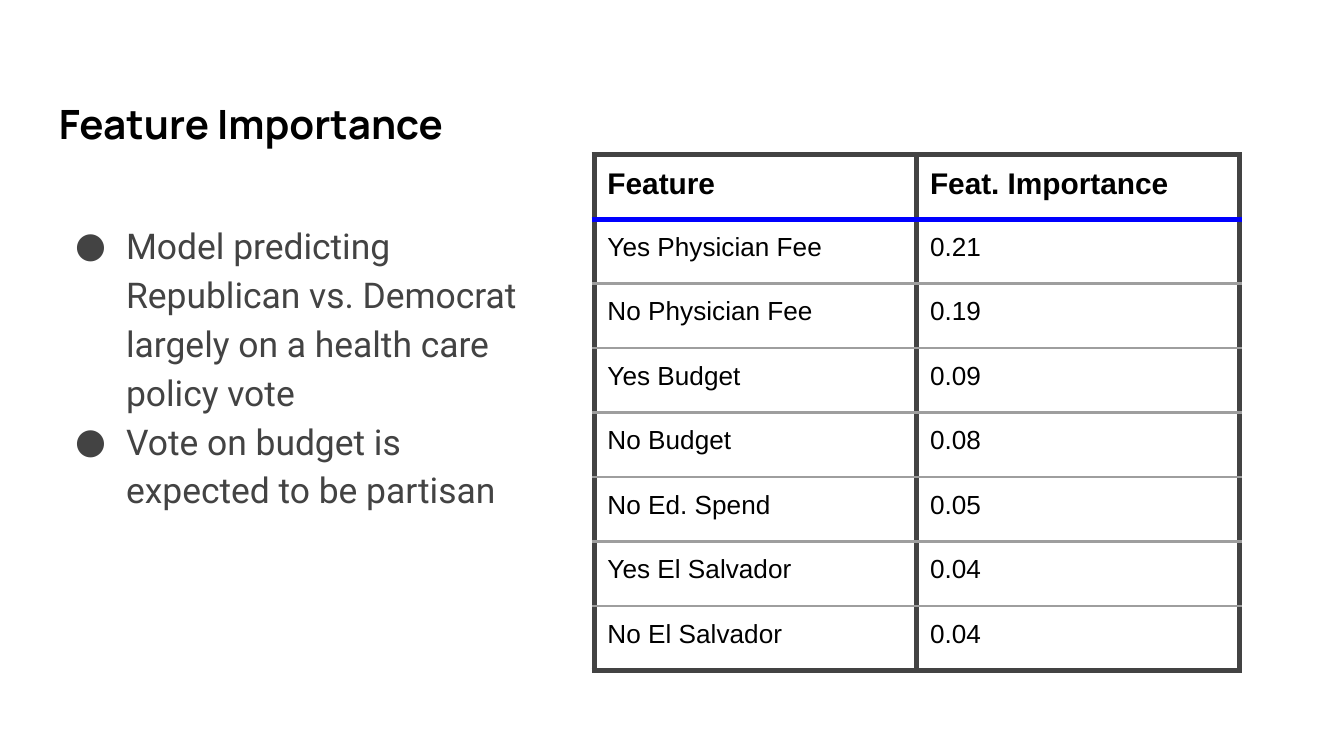
"""Build the Feature Importance slide with two bullets and a ranked table."""
from lxml.etree import SubElement
from pptx import Presentation
from pptx.dml.color import RGBColor
from pptx.enum.shapes import MSO_SHAPE as Shape
from pptx.enum.text import MSO_ANCHOR as Anchor, PP_ALIGN as Align
from pptx.oxml.ns import qn
from pptx.util import Inches, Pt

COLORS = {"black": "000000", "text": "434343", "rule": "9E9E9E", "accent": "0000FF", "white": "FFFFFF"}
BULLETS = [
    "Model predicting Republican vs. Democrat largely on a health care policy vote",
    "Vote on budget is expected to be partisan",
]
ROWS = [
    ("Feature", "Feat. Importance"),
    ("Yes Physician Fee", "0.21"),
    ("No Physician Fee", "0.19"),
    ("Yes Budget", "0.09"),
    ("No Budget", "0.08"),
    ("No Ed. Spend", "0.05"),
    ("Yes El Salvador", "0.04"),
    ("No El Salvador", "0.04"),
]
SLIDE_WIDTH = Inches(10)
SLIDE_HEIGHT = SLIDE_WIDTH * 9 // 16
MARGIN, INSET = Inches(0.34), Inches(0.1)
COLUMN_WIDTH, ROW_HEIGHT = Inches(2.4), Inches(0.48)


def style_font(paragraph, name, size, color, bold=False):
    font = paragraph.font
    font.name, font.size, font.bold = name, Pt(size), bold
    font.color.rgb = RGBColor.from_string(COLORS[color])


def add_border(cell, side, color, width):
    line = SubElement(cell._tc.get_or_add_tcPr(), qn(f"a:ln{side}"), w=str(Pt(width)))
    fill = SubElement(line, qn("a:solidFill"))
    SubElement(fill, qn("a:srgbClr"), val=COLORS[color])


presentation = Presentation()
presentation.slide_width, presentation.slide_height = SLIDE_WIDTH, SLIDE_HEIGHT
slide = presentation.slides.add_slide(presentation.slide_layouts[6])

title = slide.shapes.add_textbox(MARGIN, Inches(0.37), Inches(3.07), Inches(0.83))
body = slide.shapes.add_shape(Shape.RECTANGLE, MARGIN, Inches(1.52), Inches(3.65), Inches(3.48))
for shape, anchor in ((title, Anchor.BOTTOM), (body, Anchor.TOP)):
    frame = shape.text_frame
    frame.word_wrap, frame.vertical_anchor = True, anchor
    frame.margin_left = frame.margin_right = frame.margin_top = frame.margin_bottom = INSET

title.text_frame.text = "Feature Importance"
style_font(title.text_frame.paragraphs[0], "Manrope", 21.6, "black", True)

body.shadow.inherit = False
body.fill.background()
body.line.color.rgb = RGBColor.from_string(COLORS["white"])
body.line.width = Pt(0.75)
body.text_frame.text = "\n".join(BULLETS)
for paragraph in body.text_frame.paragraphs:
    paragraph.alignment, paragraph.line_spacing = Align.LEFT, 1.15
    style_font(paragraph, "Roboto", 19, "text")
    properties = paragraph._p.get_or_add_pPr()
    properties.set("marL", str(Inches(0.5)))
    properties.set("indent", str(Inches(-0.38)))
    bullet_color = SubElement(properties, qn("a:buClr"))
    SubElement(bullet_color, qn("a:srgbClr"), val=COLORS["text"])
    SubElement(properties, qn("a:buFont"), typeface="Roboto")
    SubElement(properties, qn("a:buChar"), char="●")
    properties.append(properties.find(qn("a:defRPr")))

row_count, column_count = len(ROWS), len(ROWS[0])
table = slide.shapes.add_table(
    row_count, column_count, Inches(4.42), Inches(1.15),
    column_count * COLUMN_WIDTH, row_count * ROW_HEIGHT,
).table
edges = [("text", 3), ("accent", 3)] + [("rule", 1.5)] * (row_count - 2) + [("text", 3)]
for row_index, values in enumerate(ROWS):
    header = row_index == 0
    for column_index, value in enumerate(values):
        cell = table.cell(row_index, column_index)
        cell.text = value
        cell.margin_left = cell.margin_right = cell.margin_top = cell.margin_bottom = INSET
        style_font(cell.text_frame.paragraphs[0], "Arial", 16 if header else 14, "black", header)
        add_border(cell, "L", "text", 3)
        add_border(cell, "R", "text", 3)
        add_border(cell, "T", *edges[row_index])
        add_border(cell, "B", *edges[row_index + 1])
        cell.fill.background()

presentation.save("out.pptx")
